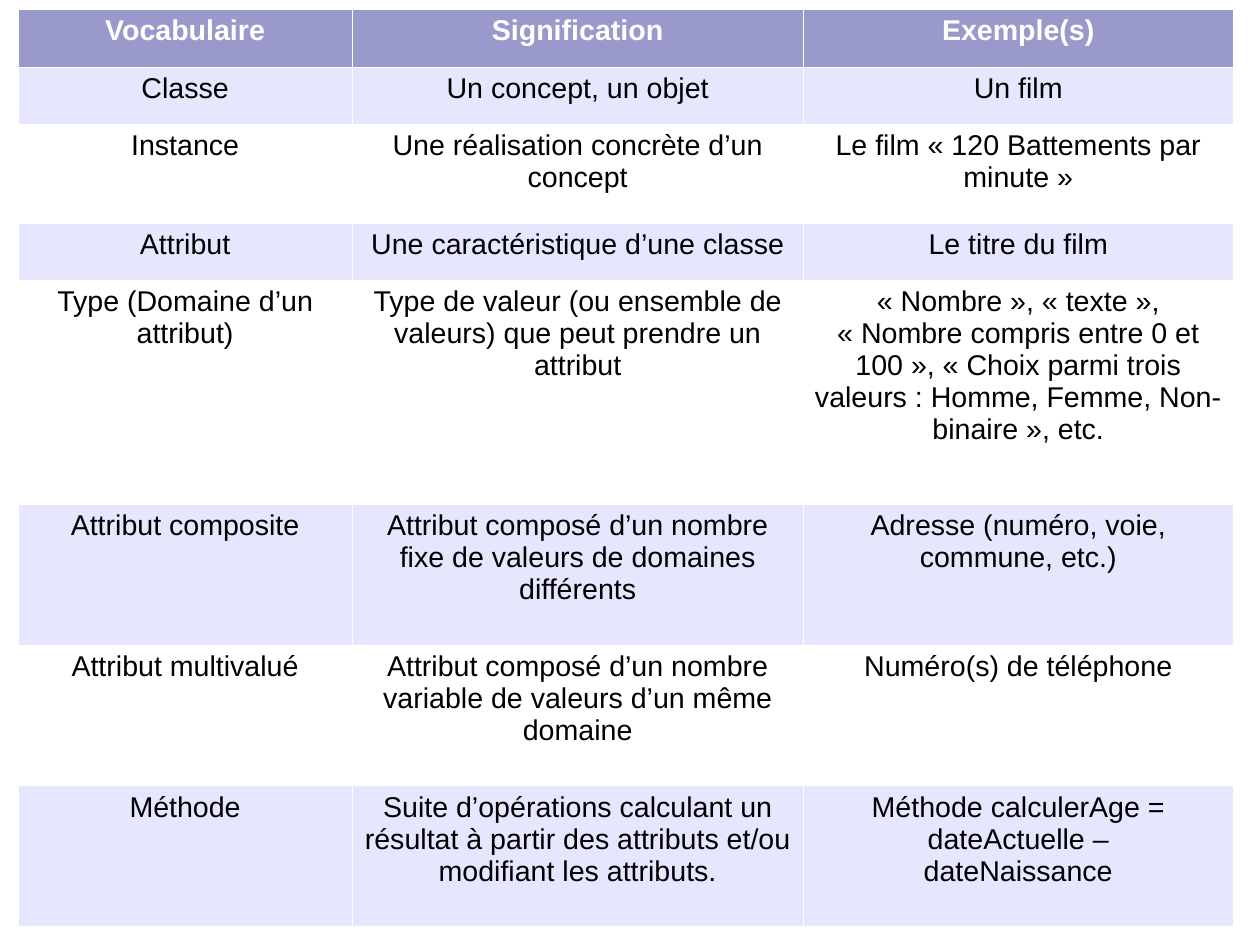
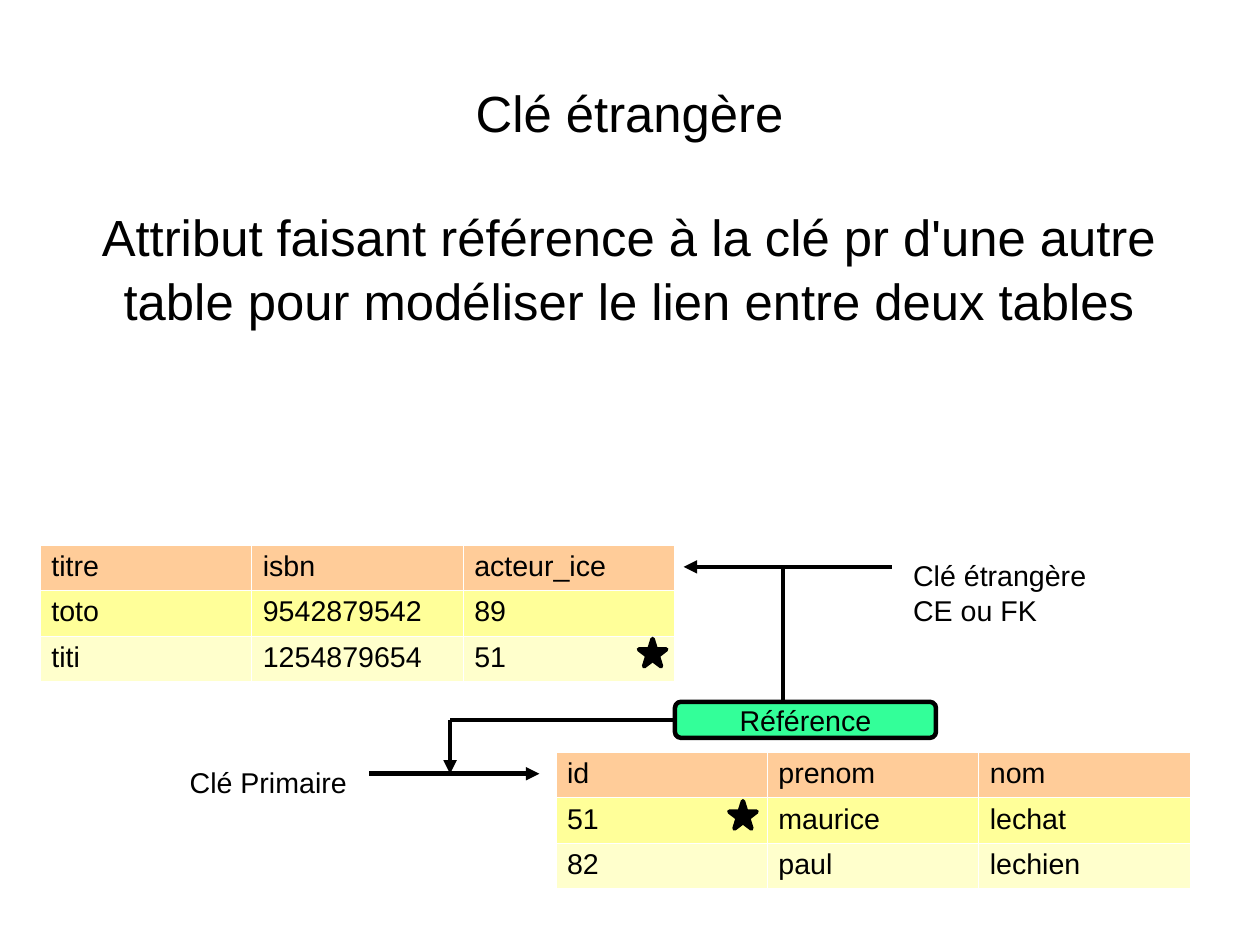
from dataclasses import dataclass
from typing import Optional, Sequence

from lxml import etree
from pptx import Presentation
from pptx import util as u
from pptx.dml.color import RGBColor
from pptx.enum import shapes, text
from pptx.oxml import ns

Pt = u.Pt


@dataclass(frozen=True)
class Theme:
    font: str = "Arial"
    body: float = 18
    title: float = 32
    label_spacing: float = 1.03
    title_spacing: float = 1.04
    stroke: float = 2.83
    border: float = 0.06
    black: str = "000000"
    white: str = "FFFFFF"
    violet: str = "9999CC"
    lavender: str = "E6E6FF"
    orange: str = "FFCC99"
    yellow: str = "FFFF99"
    cream: str = "FFFFCC"
    green: str = "33FF99"


T = Theme()
LEFT, CENTER = text.PP_ALIGN.LEFT, text.PP_ALIGN.CENTER
SHAPE = shapes.MSO_SHAPE
NO_BREAK_SPACE = chr(160)


@dataclass(frozen=True)
class TableSpec:
    left: float
    top: float
    cols: Sequence[float]
    heights: Sequence[float]
    rows: Sequence[Sequence[str]]
    header: str
    bands: Sequence[str]
    header_color: str = T.black
    header_bold: bool = False
    align: text.PP_ALIGN = LEFT


@dataclass(frozen=True)
class Label:
    text: str
    left: float
    top: float
    width: float
    height: float
    size: float = T.body
    align: text.PP_ALIGN = LEFT
    inset: tuple[float, float] = (8.6, 5)
    spacing: float = T.label_spacing
    before: float = 0


@dataclass(frozen=True)
class Line:
    x1: float
    y1: float
    x2: float
    y2: float
    arrow: bool = False


def rgb(value: str) -> RGBColor:
    return RGBColor.from_string(value)


# Text: "\n" starts a paragraph, "|" breaks a line, "~" is a no-break space
def write(tf, content: str, *, size: float = T.body, color: str = T.black,
          bold: bool = False, align=LEFT, spacing: float = 1.0,
          before: float = 0) -> None:
    for i, line in enumerate(content.replace("~", NO_BREAK_SPACE).split("\n")):
        p = tf.add_paragraph() if i else tf.paragraphs[0]
        p.alignment, p.line_spacing = align, spacing
        if i and before:
            p.space_before = Pt(before)
        for j, piece in enumerate(line.split("|")):
            if j:
                p.add_line_break()
            r = p.add_run()
            r.text = piece
            r.font.name, r.font.size, r.font.bold = T.font, Pt(size), bold
            r.font.color.rgb = rgb(color)


def set_frame(tf, inset: tuple[float, float], wrap: bool) -> None:
    tf.margin_left = tf.margin_right = Pt(inset[0])
    tf.margin_top = tf.margin_bottom = Pt(inset[1])
    tf.word_wrap = wrap


def add_label(s, label: Label) -> None:
    box = s.shapes.add_textbox(Pt(label.left), Pt(label.top),
                               Pt(label.width), Pt(label.height))
    set_frame(box.text_frame, label.inset, True)
    write(box.text_frame, label.text, size=label.size, align=label.align,
          spacing=label.spacing, before=label.before)


# Tables
def set_borders(cell) -> None:
    tc_pr = cell._tc.get_or_add_tcPr()
    for side in ("a:lnL", "a:lnR", "a:lnT", "a:lnB"):
        ln = etree.SubElement(tc_pr, ns.qn(side), w=str(int(Pt(T.border))))
        fill = etree.SubElement(ln, ns.qn("a:solidFill"))
        etree.SubElement(fill, ns.qn("a:srgbClr"), val=T.white)


def add_grid(s, spec: TableSpec) -> None:
    tbl = s.shapes.add_table(len(spec.rows), len(spec.cols), Pt(spec.left),
                             Pt(spec.top), Pt(sum(spec.cols)),
                             Pt(sum(spec.heights))).table
    tbl.first_row = tbl.horz_banding = False
    for col, width in zip(tbl.columns, spec.cols):
        col.width = Pt(width)
    for i, (row, height) in enumerate(zip(tbl.rows, spec.heights)):
        row.height = Pt(height)
        is_header = i == 0
        fill = spec.header if is_header else spec.bands[(i - 1) % len(spec.bands)]
        for cell, content in zip(row.cells, spec.rows[i]):
            set_borders(cell)
            cell.fill.solid()
            cell.fill.fore_color.rgb = rgb(fill)
            write(cell.text_frame, content, align=spec.align,
                  color=spec.header_color if is_header else T.black,
                  bold=is_header and spec.header_bold)


# Shapes and lines
def add_shape(s, kind, left: float, top: float, width: float, height: float,
              fill: str):
    sp = s.shapes.add_shape(kind, Pt(left), Pt(top), Pt(width), Pt(height))
    sp.shadow.inherit = False
    sp.fill.solid()
    sp.fill.fore_color.rgb = rgb(fill)
    sp.line.color.rgb = rgb(T.black)
    sp.line.width = Pt(T.stroke)
    return sp


def add_line(s, line: Line, start: Optional[tuple] = None) -> None:
    c = s.shapes.add_connector(shapes.MSO_CONNECTOR.STRAIGHT, Pt(line.x1),
                               Pt(line.y1), Pt(line.x2), Pt(line.y2))
    if start:
        c.begin_connect(*start)
    c.line.color.rgb = rgb(T.black)
    c.line.width = Pt(T.stroke)
    if line.arrow:
        etree.SubElement(c.line._get_or_add_ln(), ns.qn("a:tailEnd"),
                         type="triangle")
    etree.SubElement(c._element.spPr, ns.qn("a:effectLst"))


# Slide 1: vocabulary
VOCABULARY = TableSpec(
    11.5, 5.9, (210.2, 284.4, 270.7),
    (36.2, 36, 62.3, 36, 141, 88.7, 88.7, 88.9),
    (
        ("Vocabulaire", "Signification", "Exemple(s)"),
        ("Classe", "Un concept, un objet", "Un film"),
        ("Instance", "Une réalisation concrète d’un concept",
         "Le film «~120 Battements par minute~»"),
        ("Attribut", "Une caractéristique d’une classe", "Le titre du film"),
        ("Type (Domaine d’un attribut)",
         "Type de valeur (ou ensemble de valeurs) que peut prendre un attribut",
         "«~Nombre~», «~texte~», «~Nombre compris entre 0 et 100~», "
         "«~Choix parmi trois valeurs~:~Homme,~Femme,~Non-binaire~», etc."),
        ("Attribut composite",
         "Attribut composé d’un nombre fixe de valeurs de domaines différents",
         "Adresse (numéro, voie, commune, etc.)"),
        ("Attribut multivalué",
         "Attribut composé d’un nombre variable de valeurs d’un même domaine",
         "Numéro(s) de téléphone"),
        ("Méthode",
         "Suite d’opérations calculant un résultat à partir des attributs "
         "et/ou modifiant les attributs.",
         "Méthode calculerAge = dateActuelle –|dateNaissance"),
    ),
    T.violet, (T.lavender, T.white), header_color=T.white, header_bold=True,
    align=CENTER)


def build_vocabulary(s) -> None:
    add_grid(s, VOCABULARY)


# Slide 2: foreign key
def key_table(left: float, top: float, rows) -> TableSpec:
    return TableSpec(left, top, (133.2,) * 3, (28.5,) * 3, rows,
                     T.orange, (T.yellow, T.cream))


KEY_TABLES = (
    key_table(25.2, 343.4, (("titre", "isbn", "acteur_ice"),
                            ("toto", "9542879542", "89"),
                            ("titi", "1254879654", "51"))),
    key_table(350, 473.8, (("id", "prenom", "nom"),
                           ("51", "maurice", "lechat"),
                           ("82", "paul", "lechien"))),
)
KEY_LABELS = (
    Label("Clé étrangère\nAttribut faisant référence à la clé pr d'une autre "
          "table pour modéliser le lien entre deux tables",
          39.6, 50.2, 714.2, 154, T.title, CENTER, (0, 0),
          T.title_spacing, before=38.2),
    Label("Clé étrangère\nCE ou FK", 566.6, 345.9, 164.2, 50.4),
    Label("Clé Primaire", 110.9, 476.2, 120, 30.2),
)
FK_Y, PK_Y = 357.1, 487.4
REF_X, REF_Y, REF_W, REF_H = 425.2, 442.1, 164.4, 22.7
REF_MID, ELBOW_X, DROP_X = REF_Y + REF_H / 2, 283.5, 493.2
KEY_LINES = (
    Line(561.6, FK_Y, 430.6, FK_Y, arrow=True),
    Line(232.6, PK_Y, 339.8, PK_Y, arrow=True),
    Line(DROP_X, FK_Y, DROP_X, REF_Y),
    Line(ELBOW_X, REF_MID, ELBOW_X, PK_Y, arrow=True),
)
STARS = ((402.5, 402.5), (459.4, 504.7))
STAR_SIZE = 17.2


def build_foreign_key(s) -> None:
    for spec in KEY_TABLES:
        add_grid(s, spec)
    for label in KEY_LABELS:
        add_label(s, label)
    for left, top in STARS:
        add_shape(s, SHAPE.STAR_5_POINT, left, top, STAR_SIZE, STAR_SIZE, T.black)
    # Reference box and its links
    ref = add_shape(s, SHAPE.ROUNDED_RECTANGLE, REF_X, REF_Y, REF_W, REF_H, T.green)
    set_frame(ref.text_frame, (8.6, 5), False)
    ref.text_frame.vertical_anchor = text.MSO_ANCHOR.MIDDLE
    write(ref.text_frame, "Référence", align=CENTER, spacing=T.label_spacing)
    for line in KEY_LINES:
        add_line(s, line)
    add_line(s, Line(REF_X, REF_MID, ELBOW_X, REF_MID), start=(ref, 1))


def main() -> None:
    prs = Presentation()
    prs.slide_width, prs.slide_height = Pt(793.7), Pt(595.28)
    for build in (build_vocabulary, build_foreign_key):
        build(prs.slides.add_slide(prs.slide_layouts[6]))
    prs.save("out.pptx")


if __name__ == "__main__":
    main()
